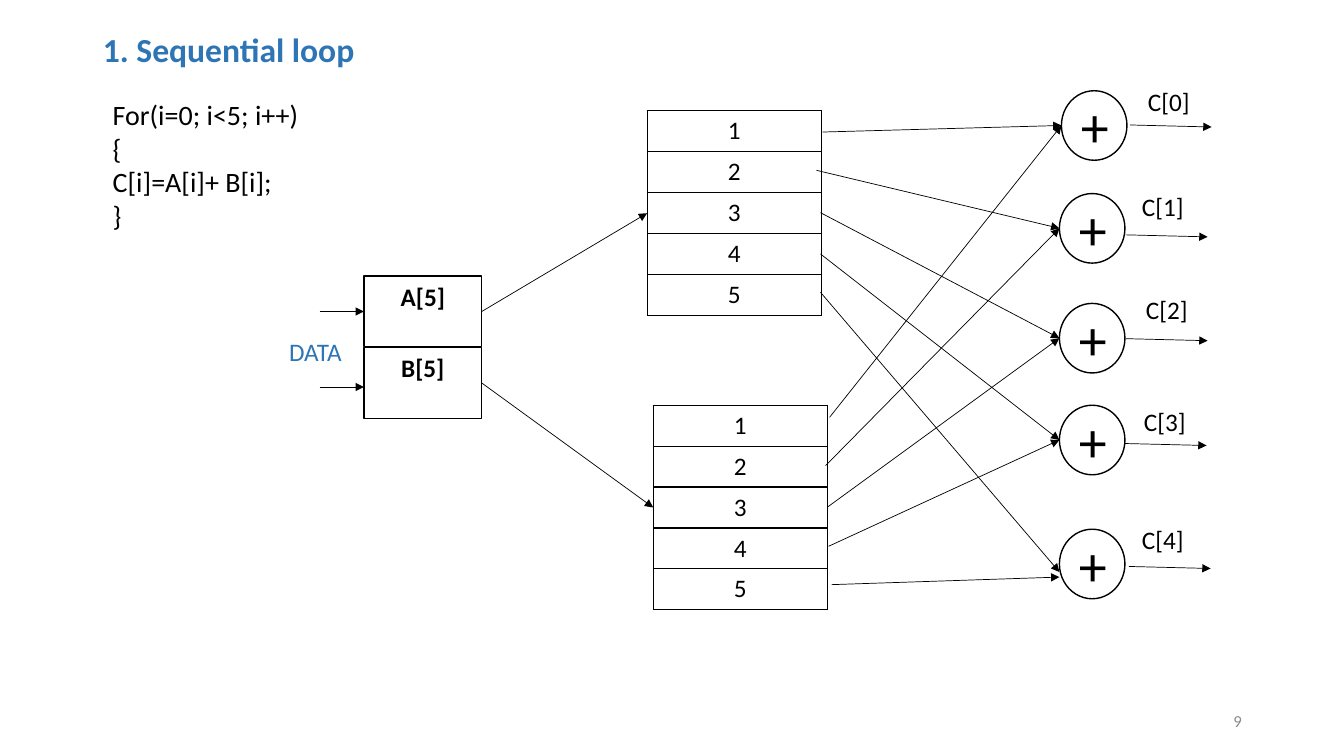
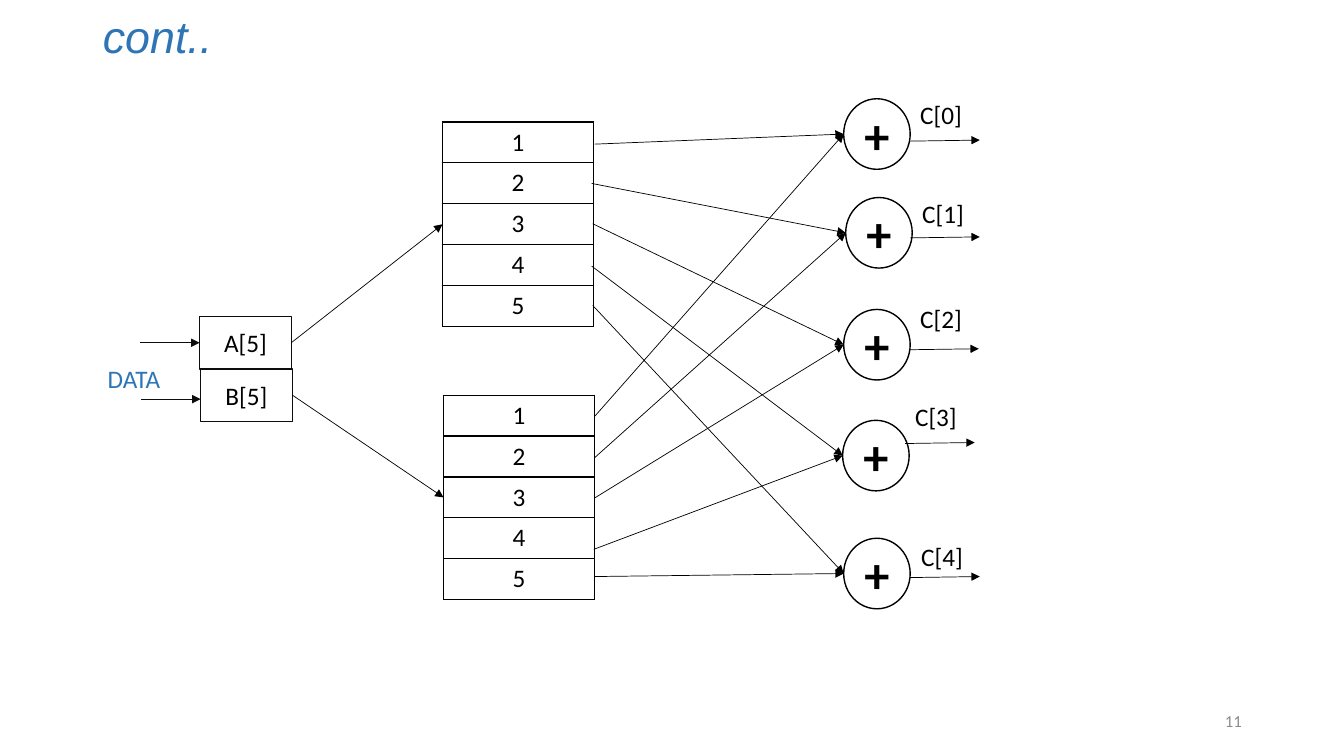
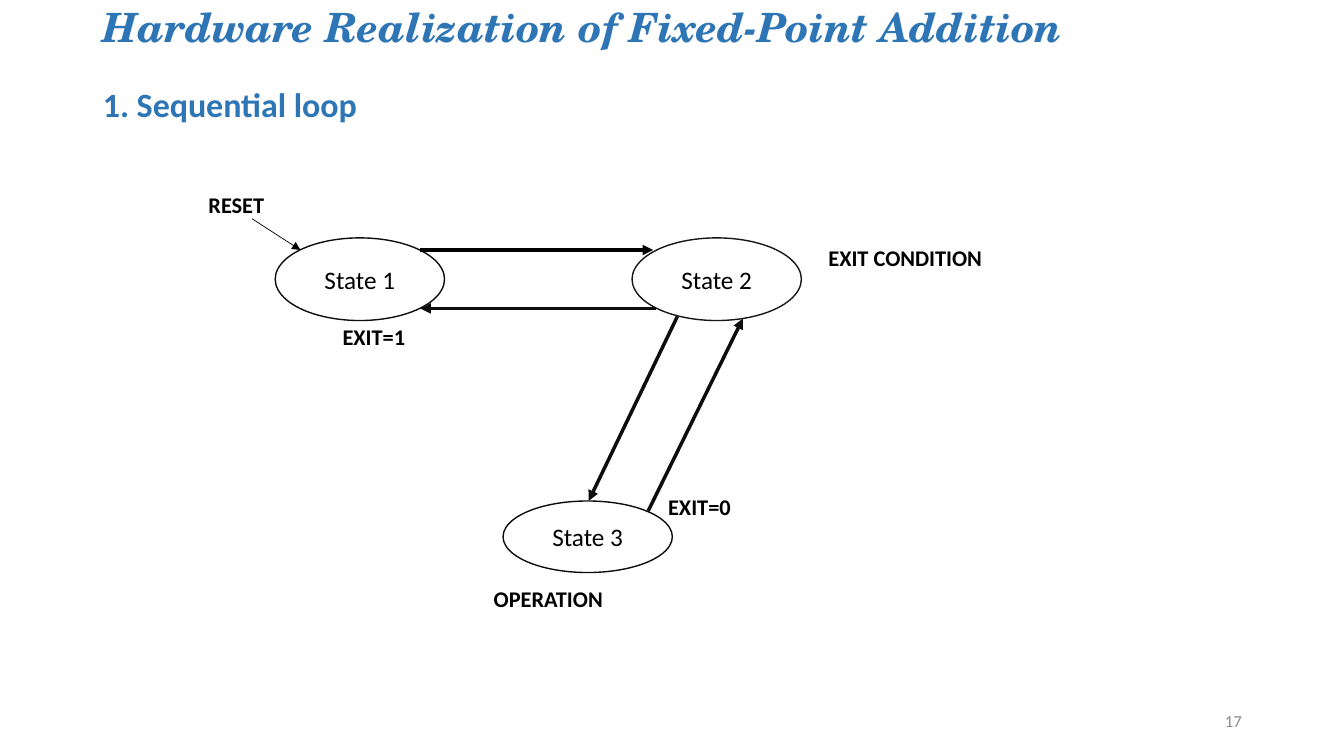
"""Build three slides on a loop's adder network and its state machine, on a grid of 0.1 inch cells."""
from dataclasses import dataclass
from typing import NamedTuple

from lxml import etree
from pptx import Presentation
from pptx import util as u
from pptx.dml.color import RGBColor
from pptx.enum import shapes, text
from pptx.oxml.ns import qn
from pptx.presentation import Presentation as Deck
from pptx.shapes.base import BaseShape
from pptx.slide import Slide
from pptx.table import _Cell
from pptx.text.text import TextFrame

COLS, ROWS = 133.33, 75
BLUE, BLACK, INK, GREY, WHITE = "2E75B6", "000000", "0D0D0D", "8C8C8C", "FFFFFF"
LEFT, CENTER, RIGHT = text.PP_ALIGN.LEFT, text.PP_ALIGN.CENTER, text.PP_ALIGN.RIGHT
TOP, MIDDLE = text.MSO_ANCHOR.TOP, text.MSO_ANCHOR.MIDDLE
RECTANGLE, ELLIPSE = shapes.MSO_SHAPE.RECTANGLE, shapes.MSO_SHAPE.OVAL
LABEL_HEIGHT = 4
MEMORY_ROW = 4.06
MEMORY_WORDS = 5
SECOND_INPUT_DROP = 0.4


class Point(NamedTuple):
    col: float
    row: float


class Box(NamedTuple):
    col: float
    row: float
    width: float
    height: float

    @property
    def left_middle(self) -> Point:
        return Point(self.col, self.row + self.height / 2)

    @property
    def right_middle(self) -> Point:
        return Point(self.col + self.width, self.row + self.height / 2)


@dataclass(frozen=True)
class Adder:
    at: Point
    wire_a: Point
    wire_b: Point
    output: Point
    label: Point
    drop_a: float = 0
    drop_b: float = 0


@dataclass(frozen=True)
class Network:
    registers: tuple[Box, Box]
    register_format: dict
    register_line: str
    input_length: float
    data_label: Point
    memories: tuple[Point, Point]
    memory_width: float
    adder_size: Point
    plus_format: dict
    output_run: Point
    label_width: float
    adders: tuple[Adder, ...]


@dataclass(frozen=True)
class State:
    name: str
    box: Box
    line: str


@dataclass(frozen=True)
class Move:
    start: Point
    end: Point
    color: str = INK
    weight: float = 2.5


@dataclass(frozen=True)
class Note:
    words: str
    at: Point
    width: float = 20.7


def grid(cells: float) -> int:
    return u.Inches(cells / 10)


def hue(code: str) -> RGBColor:
    return RGBColor.from_string(code)


def write(frame: TextFrame, words: str, *, size: float = 18, color: str = BLACK, font: str = "Calibri",
          bold: bool = False, italic: bool = False, align: text.PP_ALIGN = LEFT,
          anchor: text.MSO_ANCHOR = TOP, leading: float = 1.0, before: float = 0) -> None:
    frame.word_wrap = True
    frame.vertical_anchor = anchor
    for line in words.split("\n"):
        paragraph = frame.add_paragraph() if frame.text else frame.paragraphs[0]
        paragraph.alignment = align
        paragraph.line_spacing = leading
        paragraph.space_before = u.Pt(before)
        run = paragraph.add_run()
        run.text = line
        run.font.name, run.font.size = font, u.Pt(size)
        run.font.bold, run.font.italic = bold, italic
        run.font.color.rgb = hue(color)


def place(shape: BaseShape, box: Box) -> None:
    shape.left, shape.top, shape.width, shape.height = map(grid, box)


def label(slide: Slide, words: str, box: Box, *, grow: bool = True, **form) -> None:
    frame = slide.shapes.add_textbox(*map(grid, box)).text_frame
    write(frame, words, **form)
    frame.auto_size = text.MSO_AUTO_SIZE.SHAPE_TO_FIT_TEXT if grow else text.MSO_AUTO_SIZE.NONE


def node(slide: Slide, kind: shapes.MSO_SHAPE, words: str, box: Box, line: str = BLACK, **form) -> None:
    outline = slide.shapes.add_shape(kind, *map(grid, box))
    outline.shadow.inherit = False
    outline.fill.solid()
    outline.fill.fore_color.rgb = hue(WHITE)
    outline.line.color.rgb = hue(line)
    outline.line.width = u.Pt(1)
    write(outline.text_frame, words, **{"align": CENTER, "anchor": MIDDLE, **form})


def arrow(slide: Slide, start: Point, end: Point, color: str = BLACK, weight: float = 0.5) -> None:
    wire = slide.shapes.add_connector(shapes.MSO_CONNECTOR.STRAIGHT, *map(grid, (*start, *end)))
    wire.line.color.rgb = hue(color)
    wire.line.width = u.Pt(weight)
    etree.SubElement(wire.line._get_or_add_ln(), qn("a:tailEnd"), type="triangle")
    etree.SubElement(wire._element.spPr, qn("a:effectLst"))


def rule_cell(cell: _Cell) -> None:
    properties = cell._tc.get_or_add_tcPr()
    for side in ("lnL", "lnR", "lnT", "lnB"):
        border = etree.SubElement(properties, qn(f"a:{side}"), w=str(u.Pt(1)))
        fill = etree.SubElement(border, qn("a:solidFill"))
        etree.SubElement(fill, qn("a:srgbClr"), val=BLACK)
    cell.fill.background()


def memory(slide: Slide, box: Box) -> None:
    words = slide.shapes.add_table(MEMORY_WORDS, 1, *map(grid, box)).table
    words.first_row = words.horz_banding = False
    for number, row in enumerate(words.rows, 1):
        row.height = grid(MEMORY_ROW)
        rule_cell(row.cells[0])
        write(row.cells[0].text_frame, str(number), align=CENTER)


def network(slide: Slide, net: Network) -> None:
    for index, (name, register, corner) in enumerate(zip("AB", net.registers, net.memories)):
        node(slide, RECTANGLE, f"{name}[5]", register, net.register_line, **net.register_format)
        entry = Point(register.col, register.left_middle.row + index * SECOND_INPUT_DROP)
        arrow(slide, Point(entry.col - net.input_length, entry.row), entry, net.register_line)
        store = Box(*corner, net.memory_width, MEMORY_ROW * MEMORY_WORDS)
        arrow(slide, register.right_middle, store.left_middle)
        memory(slide, store)
    label(slide, "DATA", Box(*net.data_label, 7.3, LABEL_HEIGHT), color=BLUE)
    for index, adder in enumerate(net.adders):
        circle = Box(*adder.at, *net.adder_size)
        col, row = circle.left_middle
        arrow(slide, adder.wire_a, Point(col, row + adder.drop_a))
        arrow(slide, adder.wire_b, Point(col, row + adder.drop_b))
        node(slide, ELLIPSE, "+", circle, **net.plus_format)
        end = Point(adder.output.col + net.output_run.col, adder.output.row + net.output_run.row)
        arrow(slide, adder.output, end)
        label(slide, f"C[{index}]", Box(*adder.label, net.label_width, LABEL_HEIGHT))


def start_slide(deck: Deck, number: int, title_row: float, title_height: float) -> tuple[Slide, TextFrame]:
    slide = deck.slides.add_slide(deck.slide_layouts.get_by_name("Title Only"))
    place(slide.shapes.title, Box(9.2, title_row, 115, title_height))
    title = slide.shapes.title.text_frame
    title.auto_size = text.MSO_AUTO_SIZE.NONE
    label(slide, str(number), Box(94.2, 69.5, 30, 4), grow=False, size=12, color=GREY, align=RIGHT, anchor=MIDDLE)
    return slide, title


SEQUENTIAL = Network(
    registers=(Box(36.1, 27.4, 11.7, 7), Box(36.1, 34.5, 11.7, 7)),
    register_format={"bold": True, "anchor": TOP},
    register_line=BLACK,
    input_length=4.4,
    data_label=Point(27.7, 32.9),
    memories=(Point(64.2, 11), Point(64.8, 40.2)),
    memory_width=17.3,
    adder_size=Point(6.5, 6.9),
    plus_format={"size": 40},
    output_run=Point(8.1, 0.2),
    label_width=8.1,
    adders=(
        Adder(Point(105.3, 9), Point(81.6, 13.1), Point(82.3, 41.4), Point(112.1, 12.4), Point(112.9, 8.1)),
        Adder(Point(105.1, 19.2), Point(81, 16.9), Point(81.9, 46.2), Point(111.7, 23.3), Point(112.3, 18.5)),
        Adder(Point(105.1, 30.1), Point(81.4, 21.1), Point(82.1, 50.3), Point(111.7, 33.6), Point(112.7, 28.7)),
        Adder(Point(105.1, 40.2), Point(81.4, 25.2), Point(82.2, 54.2), Point(111.6, 44), Point(112.5, 39.8)),
        Adder(Point(105.1, 52.5), Point(81.4, 29), Point(82.5, 58), Point(112, 56.2), Point(112.3, 51.5), 0.8, 1.3),
    ),
)

CONTINUED = Network(
    registers=(Box(19.8, 31.4, 9.1, 5.2), Box(19.9, 36.6, 9.1, 5.2)),
    register_format={},
    register_line=INK,
    input_length=5.9,
    data_label=Point(9.7, 35.6),
    memories=(Point(43.9, 12.1), Point(44, 39.2)),
    memory_width=15,
    adder_size=Point(6.6, 7),
    plus_format={"size": 36, "bold": True},
    output_run=Point(6.9, -0.1),
    label_width=7.5,
    adders=(
        Adder(Point(83.7, 9.8), Point(59, 14.3), Point(59, 41.3), Point(90.3, 14), Point(90.3, 9.4)),
        Adder(Point(83.9, 19.6), Point(58.7, 18.2), Point(59, 45.4), Point(90.3, 23.6), Point(90.5, 19.2)),
        Adder(Point(83.7, 30.7), Point(58.8, 22.2), Point(59, 49.4), Point(90.2, 34.7), Point(90.3, 29.6)),
        Adder(Point(83.6, 41.7), Point(58.7, 26.4), Point(58.9, 54.5), Point(89.8, 44), Point(89.8, 39.3)),
        Adder(Point(83.7, 53.4), Point(58.8, 30.3), Point(59, 57.2), Point(90.3, 57.3), Point(90.4, 53.2)),
    ),
)

STATES = (
    State("State 1", Box(27.3, 23.6, 16.8, 8.2), INK),
    State("State 2", Box(62.7, 23.6, 16.8, 8.2), "181717"),
    State("State 3", Box(49.9, 49.7, 16.8, 7.1), INK),
)
MOVES = (
    Move(Point(41.7, 24.8), Point(64.8, 24.8), BLACK),
    Move(Point(65.1, 30.6), Point(41.7, 30.6)),
    Move(Point(64.3, 50.7), Point(73.7, 31.6)),
    Move(Point(67.2, 31.4), Point(58.4, 49.7)),
    Move(Point(25, 21.7), Point(29.8, 24.8), BLACK, 0.5),
)
NOTES = (
    Note("RESET", Point(19.7, 18.5), 17.6),
    Note("EXIT CONDITION", Point(81.2, 23.7)),
    Note("OPERATION", Point(48, 57.6)),
    Note("EXIT=1", Point(33, 31.6)),
    Note("EXIT=0", Point(65.3, 48.4)),
)


def sequential_slide(deck: Deck) -> None:
    slide, title = start_slide(deck, 9, 0, 10.3)
    write(title, "1. Sequential loop", size=24, color=BLUE, bold=True, anchor=MIDDLE, leading=0.9)
    network(slide, SEQUENTIAL)
    label(slide, "For(i=0; i<5; i++)\n{\nC[i]=A[i]+ B[i];\n}", Box(10.2, 9.2, 20.7, 14.5), size=20)


def continued_slide(deck: Deck) -> None:
    slide, title = start_slide(deck, 11, 1.1, 5.6)
    write(title, "cont..", size=32, color=BLUE, font="Arial", italic=True, anchor=MIDDLE, leading=0.9)
    network(slide, CONTINUED)


def state_slide(deck: Deck) -> None:
    slide, title = start_slide(deck, 17, 0.3, 8.4)
    heading = {"color": BLUE, "bold": True, "leading": 0.9}
    write(title, "Hardware Realization of Fixed-Point Addition", size=28.8, font="TeX Gyre Schola",
          italic=True, **heading)
    write(title, "1. Sequential loop", size=24.3, before=26, **heading)
    for state in STATES:
        node(slide, ELLIPSE, state.name, state.box, state.line)
    for move in MOVES:
        arrow(slide, move.start, move.end, move.color, move.weight)
    for note in NOTES:
        label(slide, note.words, Box(*note.at, note.width, 3.7), size=16, bold=True)


def main() -> None:
    deck = Presentation()
    deck.slide_width, deck.slide_height = grid(COLS), grid(ROWS)
    sequential_slide(deck)
    continued_slide(deck)
    state_slide(deck)
    deck.save("out.pptx")


if __name__ == "__main__":
    main()
